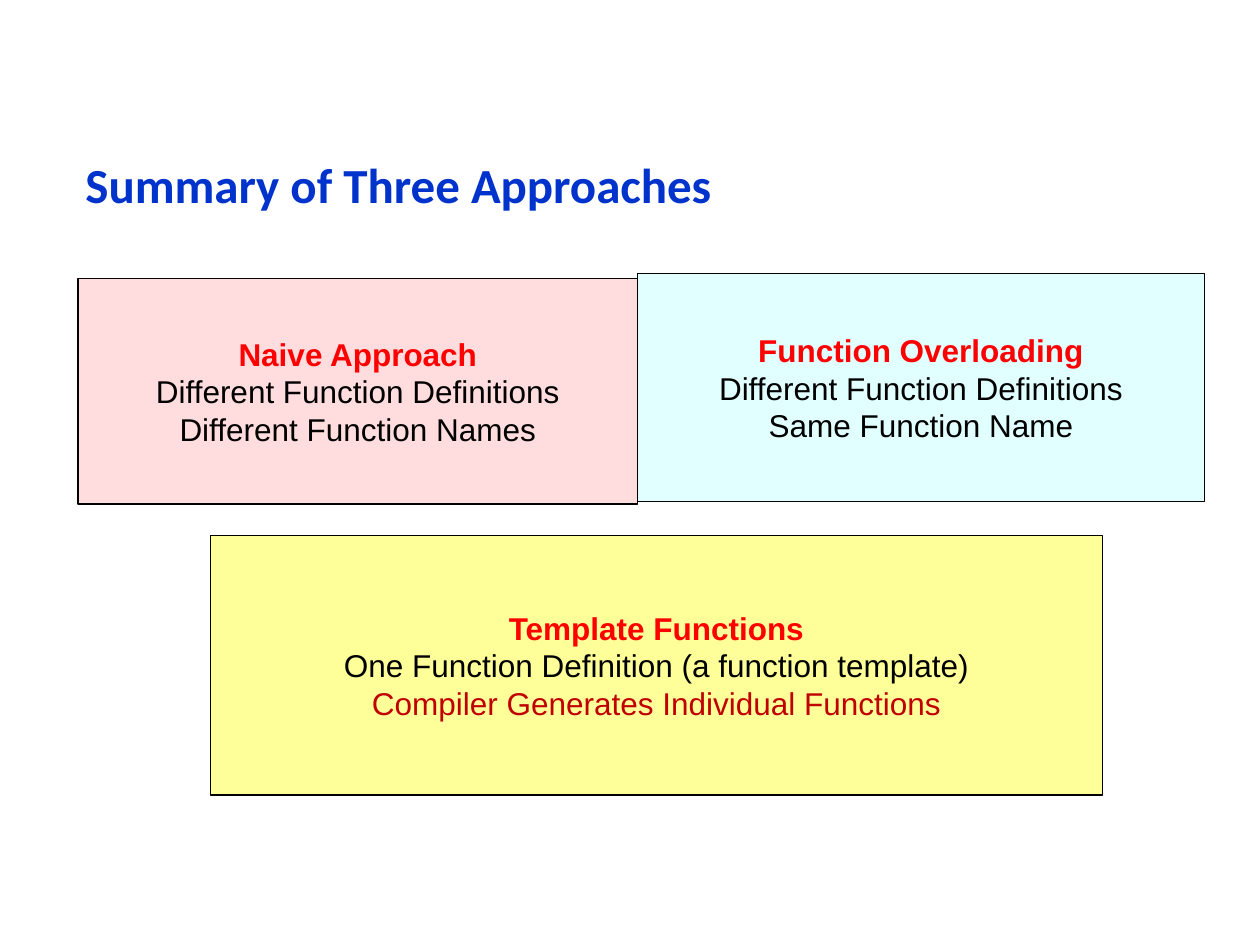
from dataclasses import dataclass

from pptx import Presentation
from pptx.dml.color import RGBColor
from pptx.enum.shapes import MSO_SHAPE
from pptx.enum.text import MSO_ANCHOR as Anchor, PP_ALIGN as Align
from pptx.slide import Slide
from pptx.util import Inches, Pt

BLUE = RGBColor(0x00, 0x33, 0xCC)
RED = RGBColor(0xFF, 0x00, 0x00)
DARK_RED = RGBColor(0xC0, 0x00, 0x00)
BLACK = RGBColor(0x00, 0x00, 0x00)
PINK = RGBColor(0xFF, 0xDD, 0xDE)
CYAN = RGBColor(0xE1, 0xFF, 0xFF)
YELLOW = RGBColor(0xFF, 0xFF, 0x99)


@dataclass(frozen=True)
class Approach:
    name: str
    definition: str
    result: str
    left: float
    top: float
    width: float
    height: float
    fill: RGBColor
    result_color: RGBColor = BLACK


APPROACHES = [
    Approach("Naive Approach", "Different Function Definitions",
             "Different Function Names", 0.62, 2.21, 4.44, 1.79, PINK),
    Approach("Function Overloading", "Different Function Definitions",
             "Same Function Name", 5.06, 2.17, 4.5, 1.81, CYAN),
    Approach("Template Functions", "One Function Definition (a function template)",
             "Compiler Generates Individual Functions",
             1.67, 4.25, 7.08, 2.06, YELLOW, DARK_RED),
]


def set_font(paragraph, name: str, size: int, color: RGBColor, bold: bool) -> None:
    font = paragraph.font
    font.name = name
    font.size = Pt(size)
    font.bold = bold
    font.color.rgb = color


def add_title(slide: Slide, text: str) -> None:
    title = slide.shapes.add_textbox(Inches(0.58), Inches(0.92), Inches(8.93), Inches(0.82))
    frame = title.text_frame
    frame.word_wrap = True
    frame.vertical_anchor = Anchor.BOTTOM
    frame.text = text
    set_font(frame.paragraphs[0], "Calibri", 28, BLUE, True)


def add_approach(slide: Slide, approach: Approach) -> None:
    shape = slide.shapes.add_shape(
        MSO_SHAPE.RECTANGLE, Inches(approach.left), Inches(approach.top),
        Inches(approach.width), Inches(approach.height))
    shape.shadow.inherit = False
    shape.fill.solid()
    shape.fill.fore_color.rgb = approach.fill
    shape.line.color.rgb = BLACK
    shape.line.width = Pt(1)
    frame = shape.text_frame
    frame.word_wrap = False
    frame.vertical_anchor = Anchor.MIDDLE
    frame.text = "\n".join([approach.name, approach.definition, approach.result])
    colors = [RED, BLACK, approach.result_color]
    for index, (paragraph, color) in enumerate(zip(frame.paragraphs, colors)):
        paragraph.alignment = Align.CENTER
        set_font(paragraph, "Arial", 18, color, index == 0)


def main() -> None:
    presentation = Presentation()
    presentation.slide_width = Inches(10)
    presentation.slide_height = Inches(7.5)
    slide = presentation.slides.add_slide(presentation.slide_layouts[6])
    add_title(slide, "Summary of Three Approaches")
    for approach in APPROACHES:
        add_approach(slide, approach)
    presentation.save("out.pptx")


if __name__ == "__main__":
    main()
